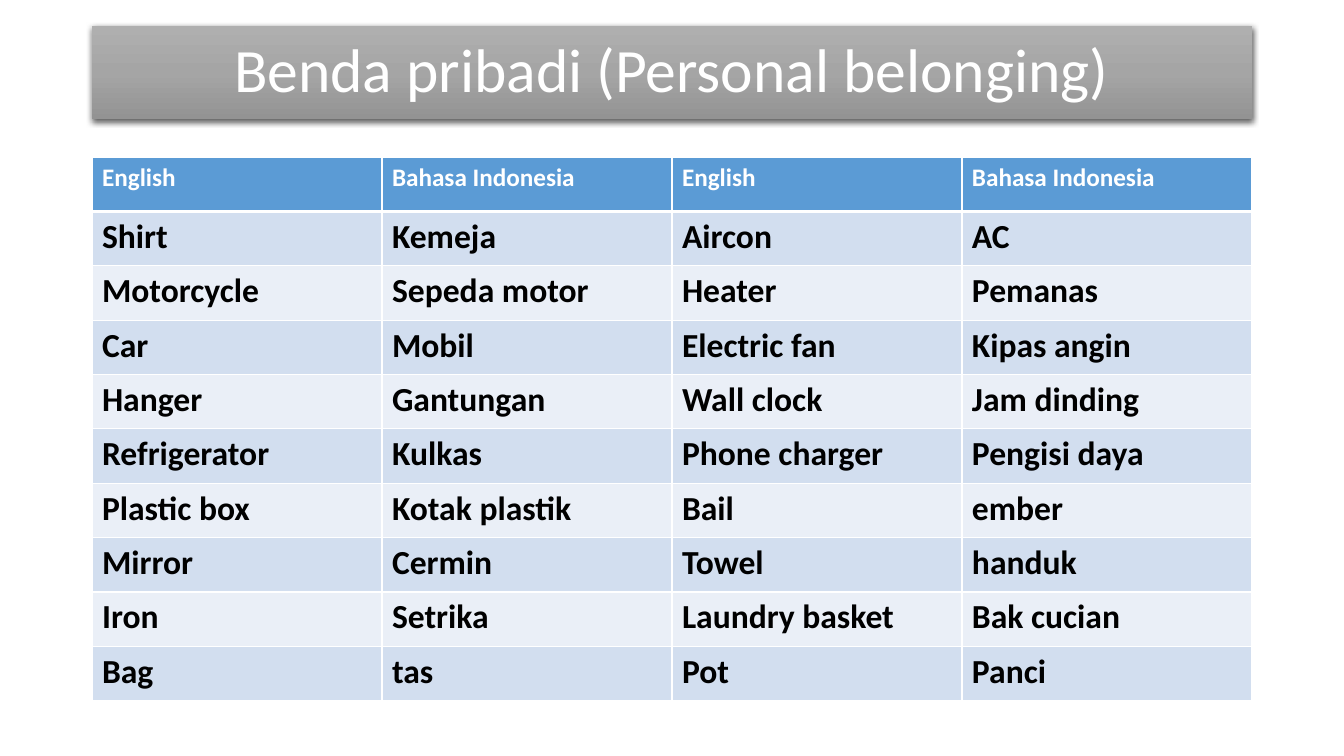
from lxml import etree
from pptx import Presentation
from pptx.dml.color import RGBColor
from pptx.enum.shapes import MSO_SHAPE
from pptx.enum.text import MSO_ANCHOR, PP_ALIGN
from pptx.oxml import parse_xml
from pptx.oxml.ns import nsdecls, qn
from pptx.util import Pt

RECTANGLE = MSO_SHAPE.RECTANGLE
MIDDLE = MSO_ANCHOR.MIDDLE
LEFT, CENTER = PP_ALIGN.LEFT, PP_ALIGN.CENTER

# Content
TITLE = "Benda pribadi (Personal belonging)"
HEADER = ("English", "Bahasa Indonesia", "English", "Bahasa Indonesia")
WORDS = [
    ("Shirt", "Kemeja", "Aircon", "AC"),
    ("Motorcycle", "Sepeda motor", "Heater", "Pemanas"),
    ("Car", "Mobil", "Electric fan", "Kipas angin"),
    ("Hanger", "Gantungan", "Wall clock", "Jam dinding"),
    ("Refrigerator", "Kulkas", "Phone charger", "Pengisi daya"),
    ("Plastic box", "Kotak plastik", "Bail", "ember"),
    ("Mirror", "Cermin", "Towel", "handuk"),
    ("Iron", "Setrika", "Laundry basket", "Bak cucian"),
    ("Bag", "tas", "Pot", "Panci"),
]

# Style
FONT = "Calibri"
COLORS = {
    "white": "FFFFFF", "black": "000000", "header": "5B9BD5",
    "odd": "D2DEEF", "even": "EAEFF7",
}
TITLE_GRADIENT = [(0, "AFAFAF"), (50, "A5A5A5"), (100, "939393")]

# Layout in px
SLIDE_WIDTH, SLIDE_HEIGHT = 1344, 756
MARGIN = 92
CONTENT_WIDTH = SLIDE_WIDTH - 2 * MARGIN
TITLE_TOP, TITLE_HEIGHT = 26, 93
TABLE_TOP, TABLE_HEIGHT = 157, 544
EMU_PER_PX = 914400 / 100.8


def px(length):
    return round(length * EMU_PER_PX)


def write_text(frame, text, size, color, bold=False, align=LEFT, spacing=None):
    paragraph = frame.paragraphs[0]
    paragraph.alignment = align
    paragraph.line_spacing = spacing
    run = paragraph.add_run()
    run.text = text
    run.font.name = FONT
    run.font.size = Pt(size)
    run.font.bold = bold
    run.font.color.rgb = RGBColor.from_string(COLORS[color])


def set_borders(cell, **widths):
    properties = cell._tc.get_or_add_tcPr()
    for index, (side, width) in enumerate(widths.items()):
        properties.insert(index, parse_xml(
            f'<a:ln{side} {nsdecls("a")} w="{Pt(width)}"><a:solidFill>'
            f'<a:srgbClr val="{COLORS["white"]}"/></a:solidFill></a:ln{side}>'))


def add_title(slide):
    banner = slide.shapes.add_shape(
        RECTANGLE, px(MARGIN), px(TITLE_TOP), px(CONTENT_WIDTH), px(TITLE_HEIGHT))
    banner.line.fill.background()

    # Three-stop vertical gradient
    banner.fill.gradient()
    banner.fill.gradient_angle = 270
    stops = banner._element.spPr.find(".//" + qn("a:gsLst"))
    stops.clear()
    for position, color in TITLE_GRADIENT:
        stop = etree.SubElement(stops, qn("a:gs"), pos=str(position * 1000))
        etree.SubElement(stop, qn("a:srgbClr"), val=color)

    # Soft shadow below
    banner.shadow.inherit = False
    effects = banner._element.spPr.find(qn("a:effectLst"))
    effects.append(parse_xml(
        f'<a:outerShdw {nsdecls("a")} blurRad="{Pt(4.5)}" dist="{Pt(1.5)}" '
        f'dir="5400000" algn="ctr" rotWithShape="0"><a:srgbClr val="{COLORS["black"]}">'
        '<a:alpha val="63000"/></a:srgbClr></a:outerShdw>'))

    frame = banner.text_frame
    frame.word_wrap = True
    frame.vertical_anchor = MIDDLE
    write_text(frame, TITLE, size=44, color="white", align=CENTER, spacing=0.9)


def add_word_table(slide):
    rows = [HEADER] + WORDS
    table = slide.shapes.add_table(
        len(rows), len(HEADER), px(MARGIN), px(TABLE_TOP),
        px(CONTENT_WIDTH), px(TABLE_HEIGHT)).table
    for column in table.columns:
        column.width = px(CONTENT_WIDTH / len(HEADER))
    for row in table.rows:
        row.height = px(TABLE_HEIGHT / len(rows))

    for row_index, words in enumerate(rows):
        is_header = row_index == 0
        fill = "header" if is_header else ("even", "odd")[row_index % 2]
        for column_index, word in enumerate(words):
            cell = table.cell(row_index, column_index)
            cell.fill.solid()
            cell.fill.fore_color.rgb = RGBColor.from_string(COLORS[fill])
            set_borders(cell, L=1, R=1, T=3 if row_index == 1 else 1,
                        B=3 if is_header else 1)
            write_text(cell.text_frame, word, size=18 if is_header else 24,
                       color="white" if is_header else "black", bold=True)


def main():
    presentation = Presentation()
    presentation.slide_width = px(SLIDE_WIDTH)
    presentation.slide_height = px(SLIDE_HEIGHT)
    slide = presentation.slides.add_slide(presentation.slide_layouts[6])
    add_title(slide)
    add_word_table(slide)
    presentation.save("out.pptx")


if __name__ == "__main__":
    main()
